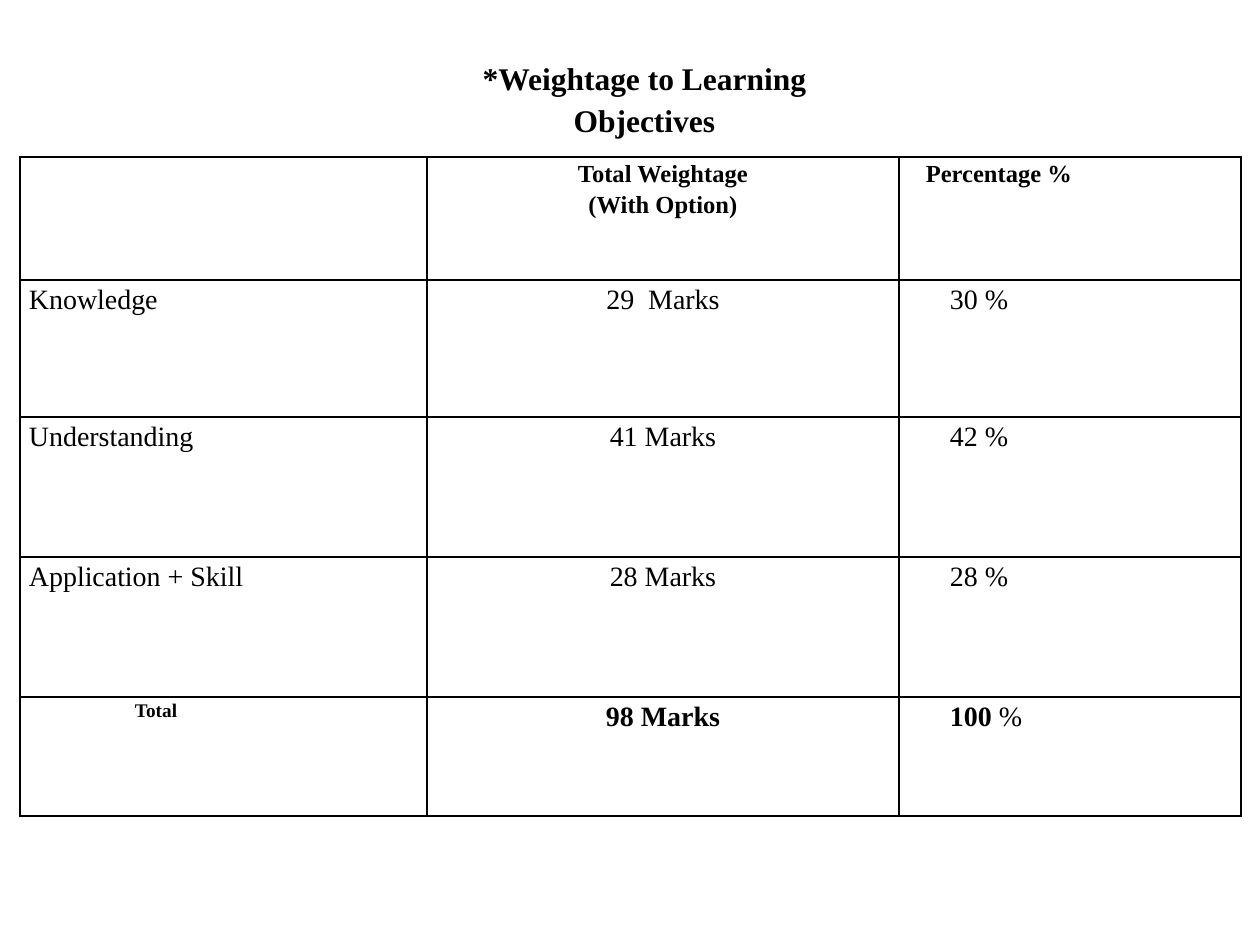
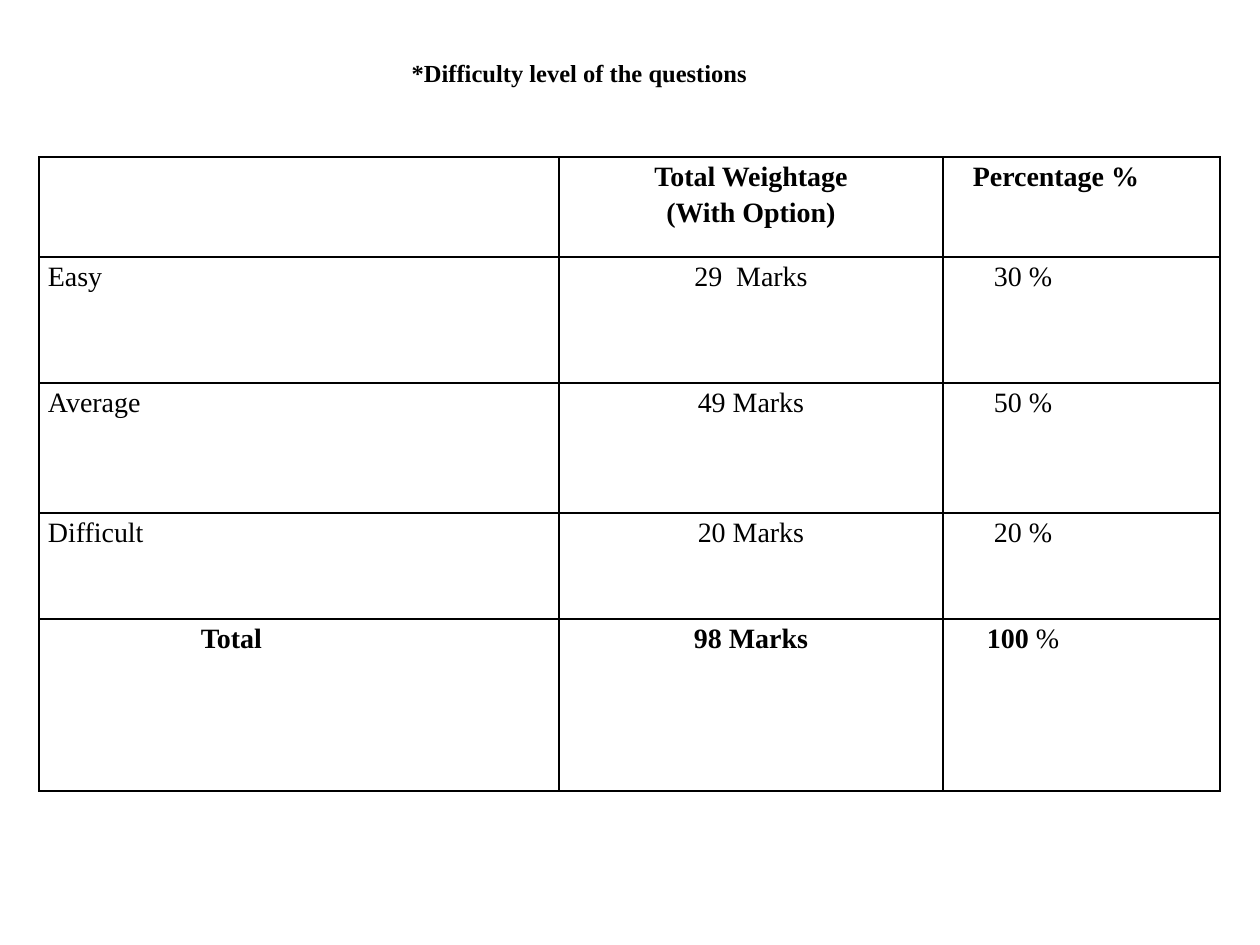
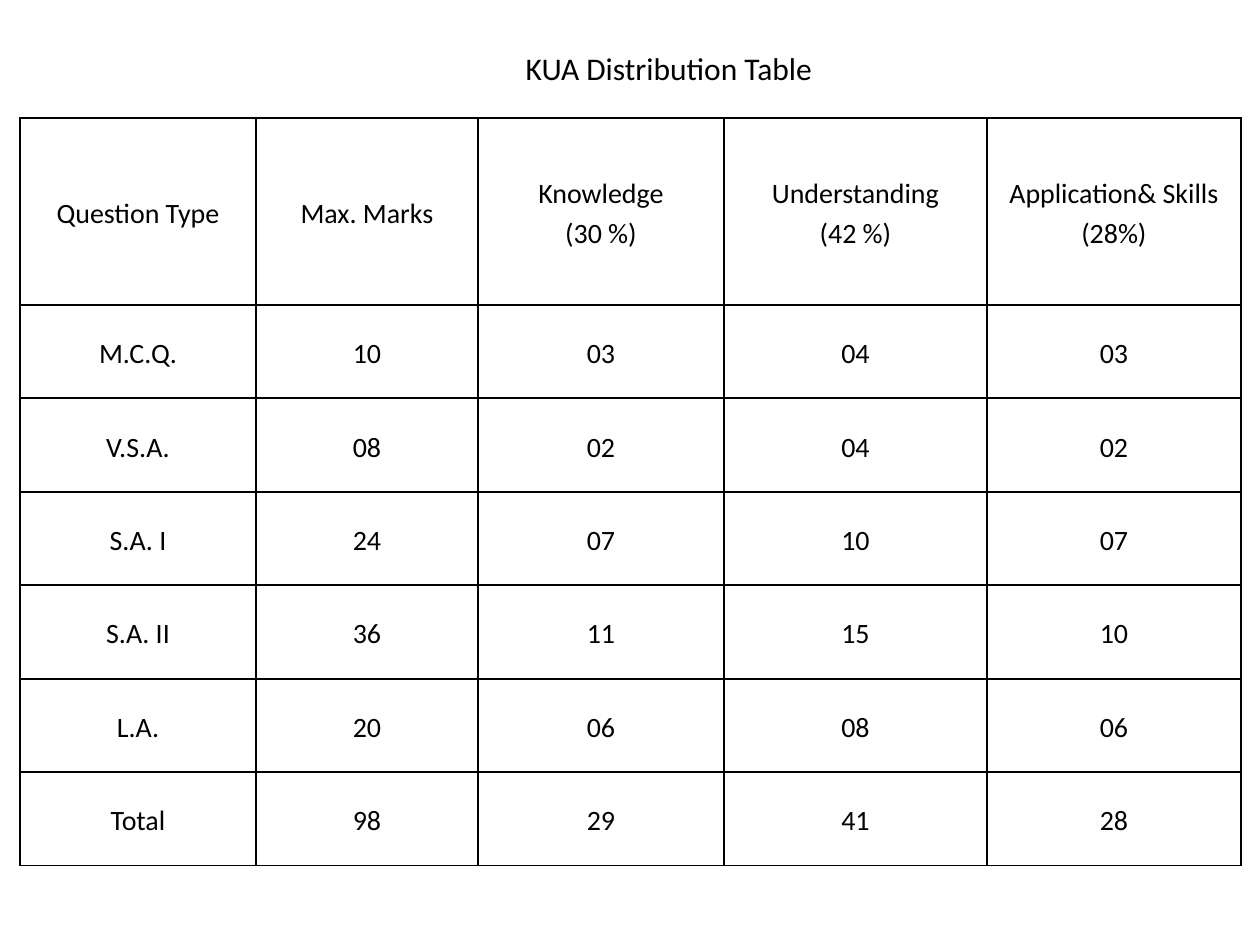
from lxml import etree
from pptx import Presentation
from pptx.dml.color import RGBColor
from pptx.enum.text import MSO_ANCHOR, MSO_AUTO_SIZE, PP_ALIGN
from pptx.oxml.ns import qn
from pptx.util import Emu, Pt

LEFT, CENTER = PP_ALIGN.LEFT, PP_ALIGN.CENTER
TOP, MIDDLE = MSO_ANCHOR.TOP, MSO_ANCHOR.MIDDLE
NO_AUTOFIT = MSO_AUTO_SIZE.NONE

# Shared look
PX_PER_INCH = 126
SLIDE_SIZE = (1260, 945)
TITLE_ONLY_LAYOUT = 5
BLACK = RGBColor(0x00, 0x00, 0x00)
SERIF, SANS = "Times New Roman", "Calibri"
CELL_INSET = 9
BORDER_WIDTH = Pt(1)
TABLE_LINE_SPACING = 1.15
TITLE_LINE_SPACING = 1.1


def px(length):
    return Emu(round(length * 914400 / PX_PER_INCH))


def text_format(name, size, bold=False):
    return {"name": name, "size": Pt(size), "bold": bold}


def format_font(font, formats):
    for attribute, value in formats.items():
        setattr(font, attribute, value)
    font.color.rgb = BLACK


def format_paragraph(paragraph, alignment, indent, line_spacing):
    paragraph.alignment = alignment
    paragraph.line_spacing = line_spacing
    if indent:
        properties = paragraph._p.get_or_add_pPr()
        properties.set("marL", str(px(indent)))
        properties.set("indent", "0")


def add_run(paragraph, text, formats):
    run = paragraph.add_run()
    run.text = text
    format_font(run.font, formats)


def add_titled_slide(presentation, text, box, formats, alignment=LEFT, indent=0):
    slide = presentation.slides.add_slide(presentation.slide_layouts[TITLE_ONLY_LAYOUT])
    title = slide.shapes.title
    title.left, title.top, title.width, title.height = map(px, box)
    frame = title.text_frame
    frame.word_wrap = True
    frame.auto_size = NO_AUTOFIT
    frame.vertical_anchor = TOP
    paragraph = frame.paragraphs[0]
    format_paragraph(paragraph, alignment, indent, TITLE_LINE_SPACING)
    add_run(paragraph, text, formats)
    return slide


def add_borders(cell):
    properties = cell._tc.get_or_add_tcPr()
    for position, side in enumerate(("lnL", "lnR", "lnT", "lnB")):
        line = etree.Element(qn(f"a:{side}"), w=str(BORDER_WIDTH))
        fill = etree.SubElement(line, qn("a:solidFill"))
        etree.SubElement(fill, qn("a:srgbClr"), val=str(BLACK))
        properties.insert(position, line)


def add_grid(slide, left, top, column_widths, row_heights):
    """Add an unstyled table with thin black borders."""
    frame = slide.shapes.add_table(
        len(row_heights), len(column_widths), px(left), px(top),
        px(sum(column_widths)), px(sum(row_heights)))
    table = frame.table
    table.first_row = table.horz_banding = False
    for column, width in zip(table.columns, column_widths):
        column.width = px(width)
    for row, height in zip(table.rows, row_heights):
        row.height = px(height)
    for cell in table.iter_cells():
        cell.fill.background()
        add_borders(cell)
        cell.margin_left = cell.margin_right = px(CELL_INSET)
        cell.margin_top = cell.margin_bottom = 0
    return table


def fill_cell(cell, text, formats, alignment=CENTER, indent=0, anchor=TOP, plain_tail=""):
    cell.vertical_anchor = anchor
    frame = cell.text_frame
    for number, line in enumerate(text.split("\n")):
        paragraph = frame.add_paragraph() if number else frame.paragraphs[0]
        format_paragraph(paragraph, alignment, indent, TABLE_LINE_SPACING)
        if line:
            add_run(paragraph, line, formats)
    if plain_tail:
        add_run(paragraph, plain_tail, {**formats, "bold": False})


def fill_weightage(table, levels, header_size, total_size, indents):
    """Fill a table of marks and percentages; indents go by cell role."""
    header = text_format(SERIF, header_size, True)
    body = text_format(SERIF, 16)
    bold_body = {**body, "bold": True}

    fill_cell(table.cell(0, 1), "Total Weightage\n(With Option)", header)
    fill_cell(table.cell(0, 2), "Percentage %", header, LEFT, indents["header"])

    for row, (level, marks, percentage) in enumerate(levels, start=1):
        fill_cell(table.cell(row, 0), level, body, LEFT)
        fill_cell(table.cell(row, 1), marks, body)
        fill_cell(table.cell(row, 2), percentage, body, LEFT, indents["percentage"])

    last = len(levels) + 1
    fill_cell(table.cell(last, 0), "Total", text_format(SERIF, total_size, True),
              LEFT, indents["total"])
    fill_cell(table.cell(last, 1), "98 Marks", bold_body)
    fill_cell(table.cell(last, 2), "100 ", bold_body, LEFT, indents["sum"], plain_tail="%")


def add_objectives_slide(presentation):
    slide = add_titled_slide(
        presentation, "*Weightage to Learning Objectives", (433, 49, 423, 108),
        text_format(SERIF, 18, True), CENTER)
    table = add_grid(slide, 20, 157, [407, 472, 342], [123, 137, 140, 140, 119])
    levels = [
        ("Knowledge", "29  Marks", "30 %"),
        ("Understanding", "41 Marks", "42 %"),
        ("Application + Skill", "28 Marks", "28 %"),
    ]
    fill_weightage(table, levels, 14, 11,
                   {"header": 18, "percentage": 42, "total": 106, "sum": 42})


def add_difficulty_slide(presentation):
    slide = add_titled_slide(
        presentation, "*Difficulty level of the questions", (295, 49, 522, 43),
        text_format(SERIF, 14, True), indent=104)
    table = add_grid(slide, 39, 157, [520, 384, 277], [100, 126, 130, 106, 172])
    levels = [
        ("Easy", "29  Marks", "30 %"),
        ("Average", "49 Marks", "50 %"),
        ("Difficult", "20 Marks", "20 %"),
    ]
    fill_weightage(table, levels, 16, 16,
                   {"header": 21, "percentage": 42, "total": 153, "sum": 35})


def add_distribution_slide(presentation):
    slide = add_titled_slide(
        presentation, "KUA Distribution Table", (29, 39, 1211, 79),
        text_format(SANS, 18), indent=484)
    rows = [
        ("Question Type", "Max. Marks", "Knowledge\n(30 %)", "Understanding\n(42 %)",
         "Application& Skills\n(28%)"),
        ("M.C.Q.", "10", "03", "04", "03"),
        ("V.S.A.", "08", "02", "04", "02"),
        ("S.A. I", "24", "07", "10", "07"),
        ("S.A. II", "36", "11", "15", "10"),
        ("L.A.", "20", "06", "08", "06"),
        ("Total", "98", "29", "41", "28"),
    ]
    table = add_grid(slide, 20, 118, [236, 222, 246, 263, 254], [187] + [93, 94] * 3)
    for row, texts in enumerate(rows):
        for column, text in enumerate(texts):
            fill_cell(table.cell(row, column), text, text_format(SANS, 16), anchor=MIDDLE)


def main():
    presentation = Presentation()
    presentation.slide_width, presentation.slide_height = map(px, SLIDE_SIZE)
    add_objectives_slide(presentation)
    add_difficulty_slide(presentation)
    add_distribution_slide(presentation)
    presentation.save("out.pptx")


if __name__ == "__main__":
    main()
